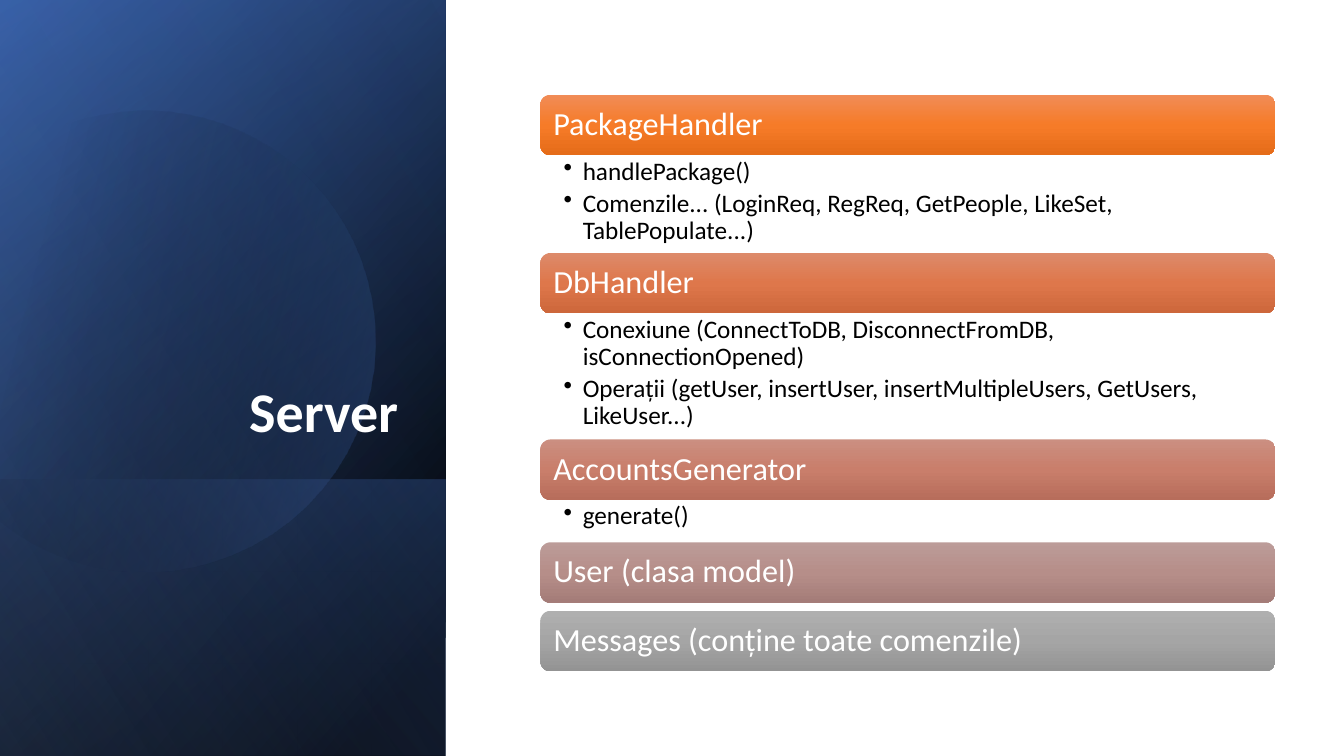
import math

from lxml import etree
from pptx import Presentation
from pptx.dml.color import RGBColor
from pptx.enum.shapes import MSO_SHAPE
from pptx.enum.text import MSO_ANCHOR, PP_ALIGN
from pptx.oxml.ns import qn
from pptx.util import Inches, Pt

RECT = MSO_SHAPE.RECTANGLE
ROUNDED = MSO_SHAPE.ROUNDED_RECTANGLE
RIGHT = PP_ALIGN.RIGHT
LEFT = PP_ALIGN.LEFT
TOP, MIDDLE, BOTTOM = MSO_ANCHOR.TOP, MSO_ANCHOR.MIDDLE, MSO_ANCHOR.BOTTOM

FONT = "Calibri"
WHITE = RGBColor(0xFF, 0xFF, 0xFF)
BLACK = RGBColor(0, 0, 0)
BLUE = RGBColor(0x44, 0x72, 0xC4)
DARK_BLUE = RGBColor(0x2F, 0x55, 0x97)
LIGHT_BLUE = RGBColor(0x8F, 0xAA, 0xDC)
ORANGE = [RGBColor(0xF1, 0x8C, 0x57), RGBColor(0xF6, 0x7B, 0x28), RGBColor(0xE5, 0x6C, 0x19)]
RUST = [RGBColor(0xDD, 0x8A, 0x6A), RGBColor(0xDE, 0x77, 0x4B), RGBColor(0xCD, 0x67, 0x3B)]
CLAY = [RGBColor(0xCB, 0x8F, 0x81), RGBColor(0xC9, 0x7E, 0x6B), RGBColor(0xB7, 0x6D, 0x5B)]
MAUVE = [RGBColor(0xBC, 0x9C, 0x99), RGBColor(0xB6, 0x8E, 0x89), RGBColor(0xA4, 0x7C, 0x78)]
GRAY = [RGBColor(0xAF, 0xAF, 0xAF), RGBColor(0xA5, 0xA5, 0xA5), RGBColor(0x93, 0x93, 0x93)]

PANEL = (-1.54, 1.54, 7.5, 4.42)
PANEL_LAYERS = [
    (PANEL, [(8, BLACK, 100), (100, DARK_BLUE, 100)], 50),
    (PANEL, [(0, BLACK, 0), (99, BLUE, 46)], 30),
    ((0.84, 3.92, 2.74, 4.42), [(2, BLUE, 29), (100, BLACK, 30)], 130),
]
PANEL_GLOW = (PANEL, [(0, BLACK, 0), (99, LIGHT_BLUE, 11)], 120)

CIRCLE_CENTER = (1.585, 3.345)
CIRCLE_ROTATION = 343.9
CIRCLE_START = (1.49, 1.1)
CIRCLE_CURVES = [
    [(2.46, 1.12), (3.35, 1.77), (3.63, 2.75)],
    [(3.98, 3.97), (3.28, 5.23), (2.07, 5.58)],
    [(1.31, 5.8), (0.53, 5.61), (-0.03, 5.14)],
    [(-0.15, 5.03)],
    [(-0.15, 1.75)],
    [(0, 1.61)],
    [(0.23, 1.42), (0.5, 1.28), (0.8, 1.19)],
    [(1.03, 1.13), (1.26, 1.1), (1.49, 1.1)],
]
CURVE_STEPS = 16

BAR_LEFT, BAR_TOP, BAR_WIDTH, BAR_HEIGHT = 5.36, 0.94, 7.29, 0.6
SECTIONS = [
    ("PackageHandler", ORANGE, 0.97, [
        "handlePackage()",
        "Comenzile... (LoginReq, RegReq, GetPeople, LikeSet, TablePopulate...)"]),
    ("DbHandler", RUST, 1.25, [
        "Conexiune (ConnectToDB, DisconnectFromDB, isConnectionOpened)",
        "Operații (getUser, insertUser, insertMultipleUsers, GetUsers, LikeUser...)"]),
    ("AccountsGenerator", CLAY, 0.42, ["generate()"]),
    ("User (clasa model)", MAUVE, 0.08, []),
    ("Messages (conține toate comenzile)", GRAY, 0, []),
]


def set_gradient(sp, stops, angle):
    sp.shadow.inherit = False
    sp.line.fill.background()
    sp.fill.background()
    grad = etree.Element(qn("a:gradFill"), rotWithShape="1")
    gs_list = etree.SubElement(grad, qn("a:gsLst"))
    for pos, color, opacity in stops:
        gs = etree.SubElement(gs_list, qn("a:gs"), pos=str(pos * 1000))
        clr = etree.SubElement(gs, qn("a:srgbClr"), val=str(color))
        if opacity < 100:
            etree.SubElement(clr, qn("a:alpha"), val=str(opacity * 1000))
    etree.SubElement(grad, qn("a:lin"), ang=str(angle * 60000), scaled="0")
    spPr = sp._element.spPr
    spPr.replace(spPr.find(qn("a:noFill")), grad)


def set_text(sp, lines, size, color, anchor, insets, align=LEFT, bold=False):
    tf = sp.text_frame
    tf.word_wrap = True
    tf.vertical_anchor = anchor
    tf.margin_left, tf.margin_top, tf.margin_right, tf.margin_bottom = map(Inches, insets)
    tf.text = "\n".join(lines)
    for p in tf.paragraphs:
        p.alignment = align
        p.line_spacing = 0.9
        for r in p.runs:
            r.font.name = FONT
            r.font.size = Pt(size)
            r.font.bold = bold
            r.font.color.rgb = color


def add_panel(slide, box, stops, angle):
    sp = slide.shapes.add_shape(RECT, *map(Inches, box))
    sp.rotation = 90
    sp._element.spPr.find(qn("a:xfrm")).set("flipH", "1")
    set_gradient(sp, stops, angle)


def bezier(start, c1, c2, end, t):
    u = 1 - t
    return tuple(u**3 * a + 3 * u * u * t * b + 3 * u * t * t * c + t**3 * d
                 for a, b, c, d in zip(start, c1, c2, end))


def circle_points():
    points = [CIRCLE_START]
    for curve in CIRCLE_CURVES:
        start = points[-1]
        if len(curve) == 1:
            points += curve
        else:
            points += [bezier(start, *curve, i / CURVE_STEPS) for i in range(1, CURVE_STEPS + 1)]
    return points


def unrotate(point):
    angle = math.radians(-CIRCLE_ROTATION)
    cx, cy = CIRCLE_CENTER
    dx, dy = point[0] - cx, point[1] - cy
    x = cx + dx * math.cos(angle) - dy * math.sin(angle)
    y = cy + dx * math.sin(angle) + dy * math.cos(angle)
    return Inches(x), Inches(y)


def add_circle(slide):
    points = [unrotate(point) for point in circle_points()]
    builder = slide.shapes.build_freeform(*points[0])
    builder.add_line_segments(points[1:], close=True)
    sp = builder.convert_to_shape()
    sp.rotation = CIRCLE_ROTATION
    set_gradient(sp, [(29, BLACK, 0), (100, BLUE, 43)], 30)


def add_title(slide, text):
    sp = slide.shapes.title
    sp.left, sp.top, sp.width, sp.height = map(Inches, (0.64, 1.84, 3.41, 2.62))
    set_text(sp, [text], 40, WHITE, BOTTOM, (0.1, 0.05, 0.1, 0.05), RIGHT, True)
    slide.shapes._spTree.append(sp._element)


def add_bar(slide, top, text, colors):
    box = (BAR_LEFT, top, BAR_WIDTH, BAR_HEIGHT)
    sp = slide.shapes.add_shape(ROUNDED, *map(Inches, box))
    set_gradient(sp, [(i * 50, color, 100) for i, color in enumerate(colors)], 90)
    set_text(sp, [text], 23, WHITE, MIDDLE, (0.1, 0.1, 0.1, 0.1))


def add_bullets(slide, top, height, items):
    sp = slide.shapes.add_textbox(*map(Inches, (BAR_LEFT, top, BAR_WIDTH, height)))
    set_text(sp, items, 18, BLACK, TOP, (0.23, 0.03, 0.18, 0.03))
    for p in sp.text_frame.paragraphs:
        p.level = 1
        p.space_after = Pt(3.6)
        pPr = p._p.get_or_add_pPr()
        pPr.set("marL", str(Inches(0.19)))
        pPr.set("indent", str(Inches(-0.19)))
        etree.SubElement(pPr, qn("a:buChar"), char="•")


def main():
    prs = Presentation()
    prs.slide_width, prs.slide_height = Inches(13.33), Inches(7.5)
    slide = prs.slides.add_slide(prs.slide_layouts[5])
    for layer in PANEL_LAYERS:
        add_panel(slide, *layer)
    add_circle(slide)
    add_panel(slide, *PANEL_GLOW)
    add_title(slide, "Server")
    top = BAR_TOP
    for heading, colors, space, items in SECTIONS:
        add_bar(slide, top, heading, colors)
        top += BAR_HEIGHT
        if items:
            add_bullets(slide, top, space, items)
        top += space
    prs.save("out.pptx")


main()
